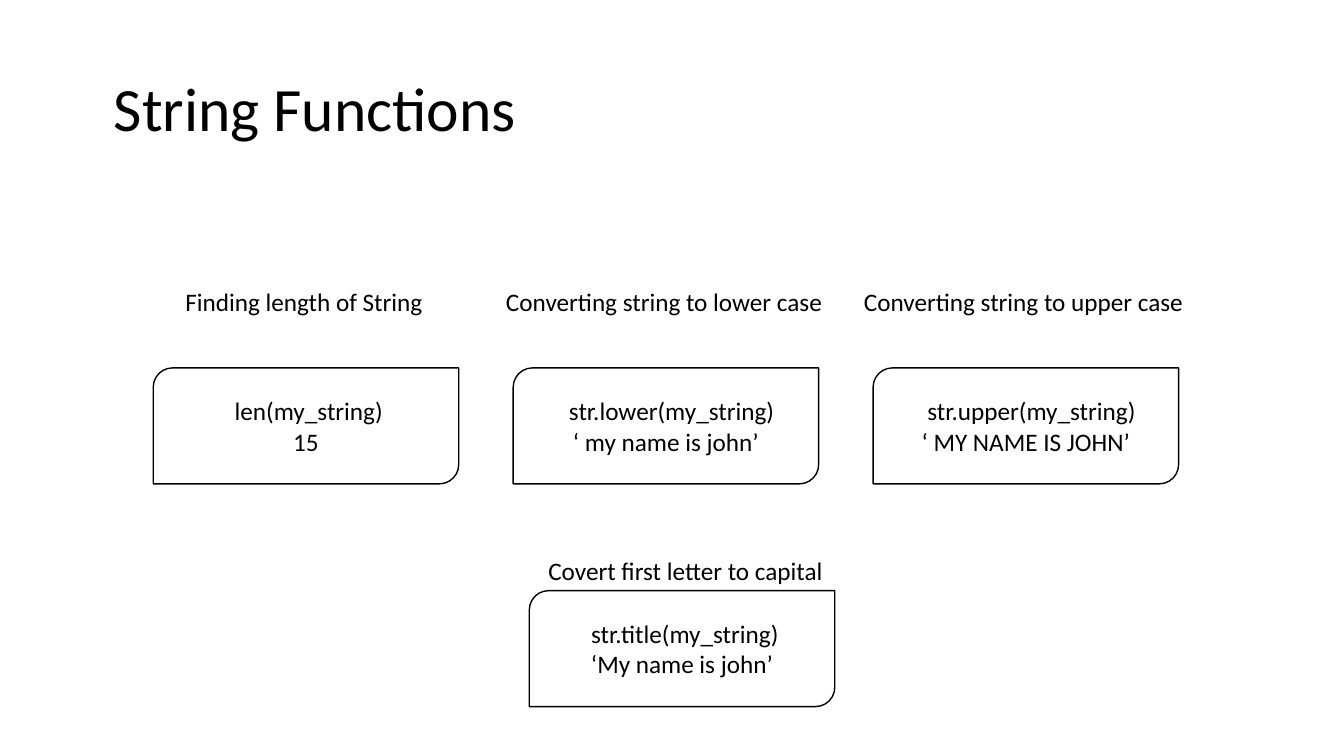
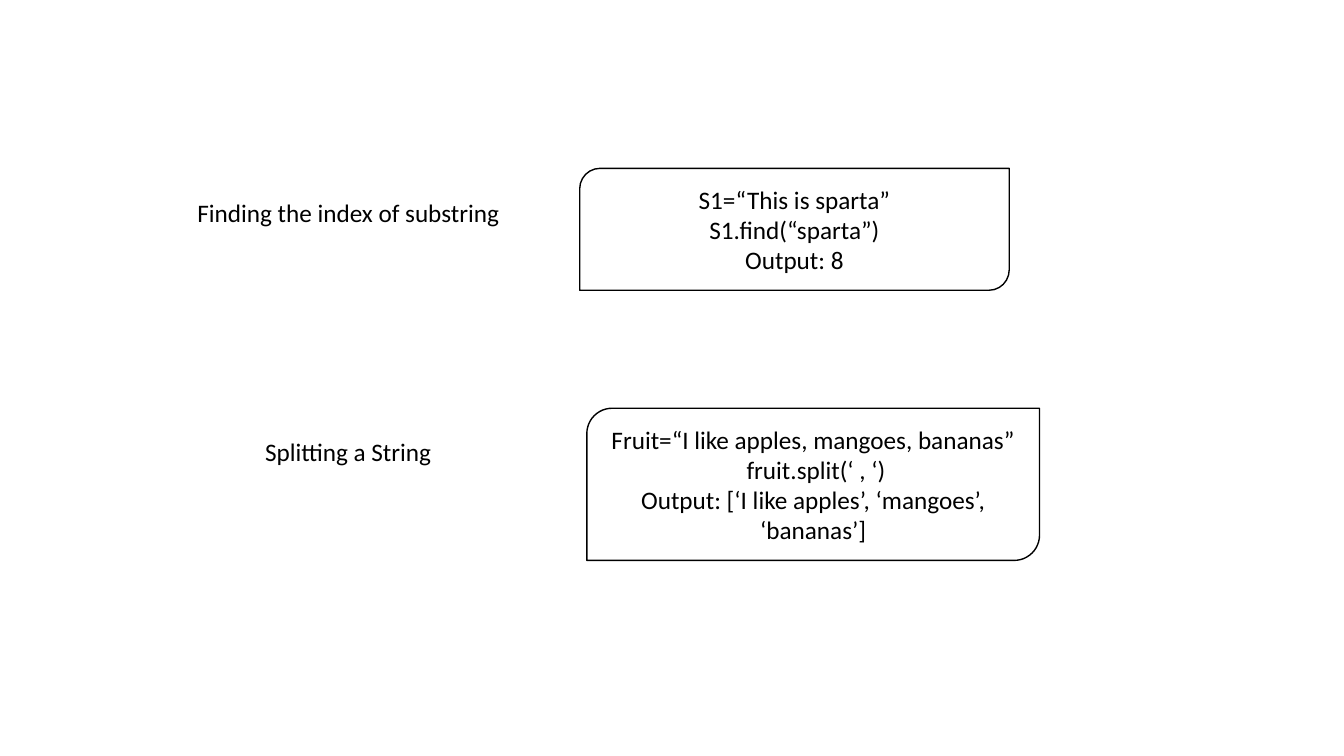
from pptx import Presentation
from pptx.dml.color import RGBColor
from pptx.enum.shapes import MSO_SHAPE
from pptx.enum.text import MSO_ANCHOR, MSO_AUTO_SIZE, PP_ALIGN
from pptx.util import Inches, Pt

FONT = "Calibri"
BLACK = "000000"
WHITE = "FFFFFF"
TITLE_ONLY, BLANK = 5, 6

CARD_LEFT, CARD_STEP = 1.52, 3.57
CARD_TOP, CARD_WIDTH, CARD_HEIGHT = 3.65, 3.03, 1.15
LABEL_HEIGHT = 0.4


def color(hex_string):
    return RGBColor.from_string(hex_string)


def write_text(frame, *lines, size=18, align=PP_ALIGN.LEFT, anchor=MSO_ANCHOR.TOP,
               wrap=True, auto_size=MSO_AUTO_SIZE.NONE, line_spacing=None):
    """Fill a text frame with one paragraph per line."""
    frame.word_wrap = wrap
    frame.auto_size = auto_size
    frame.vertical_anchor = anchor
    for index, line in enumerate(lines):
        paragraph = frame.add_paragraph() if index else frame.paragraphs[0]
        paragraph.alignment = align
        paragraph.line_spacing = line_spacing
        run = paragraph.add_run()
        run.text = line
        run.font.name = FONT
        run.font.size = Pt(size)
        run.font.color.rgb = color(BLACK)


def set_title(slide, text, left, top, width, height):
    title = slide.shapes.title
    title.left, title.top = Inches(left), Inches(top)
    title.width, title.height = Inches(width), Inches(height)
    write_text(title.text_frame, text, size=44, anchor=MSO_ANCHOR.MIDDLE, line_spacing=0.9)


def add_label(slide, text, left, top, width):
    box = slide.shapes.add_textbox(Inches(left), Inches(top), Inches(width), Inches(LABEL_HEIGHT))
    write_text(box.text_frame, text, wrap=False, auto_size=MSO_AUTO_SIZE.SHAPE_TO_FIT_TEXT)


def add_code_card(slide, lines, left, top, width=CARD_WIDTH, height=CARD_HEIGHT):
    card = slide.shapes.add_shape(MSO_SHAPE.ROUND_2_DIAG_RECTANGLE, Inches(left), Inches(top),
                                  Inches(width), Inches(height))
    card.shadow.inherit = False
    card.fill.solid()
    card.fill.fore_color.rgb = color(WHITE)
    card.line.color.rgb = color(BLACK)
    card.line.width = Pt(1)
    write_text(card.text_frame, *lines, align=PP_ALIGN.CENTER, anchor=MSO_ANCHOR.MIDDLE)


def build_string_functions(presentation):
    slide = presentation.slides.add_slide(presentation.slide_layouts[TITLE_ONLY])
    set_title(slide, "String Functions", 1.03, 0.53, 4.54, 1.15)
    examples = [
        ("Finding length of String", 1.74, 2.58, [" len(my_string)", "15"]),
        ("Converting string to lower case", 4.92, 3.38,
         ["  str.lower(my_string)", "‘ my name is john’"]),
        ("Converting string to upper case", 8.47, 3.41,
         ["  str.upper(my_string)", "‘ MY NAME IS JOHN’"]),
    ]
    for column, (label, label_left, label_width, code) in enumerate(examples):
        add_label(slide, label, label_left, 2.79, label_width)
        add_code_card(slide, code, CARD_LEFT + column * CARD_STEP, CARD_TOP)
    add_code_card(slide, [" str.title(my_string)", "‘My name is john’"], 5.25, 5.86)
    add_label(slide, "Covert first letter to capital", 5.34, 5.46, 2.96)


def build_find_and_split(presentation):
    slide = presentation.slides.add_slide(presentation.slide_layouts[BLANK])
    add_label(slide, "Finding the index of substring", 1.86, 1.91, 3.23)
    add_code_card(slide, ["S1=“This is sparta”", "S1.find(“sparta”)", "Output: 8"],
                  5.75, 1.67, 4.26, 1.21)
    add_label(slide, "Splitting a String", 2.53, 4.28, 1.88)
    add_code_card(slide, ["Fruit=“I like apples, mangoes, bananas”", " fruit.split(‘ , ‘)",
                          "Output: [‘I like apples’, ‘mangoes’, ‘bananas’]"],
                  5.82, 4.05, 4.49, 1.51)


def main():
    presentation = Presentation()
    presentation.slide_width, presentation.slide_height = Inches(13.33), Inches(7.5)
    build_string_functions(presentation)
    build_find_and_split(presentation)
    presentation.save("out.pptx")


if __name__ == "__main__":
    main()
